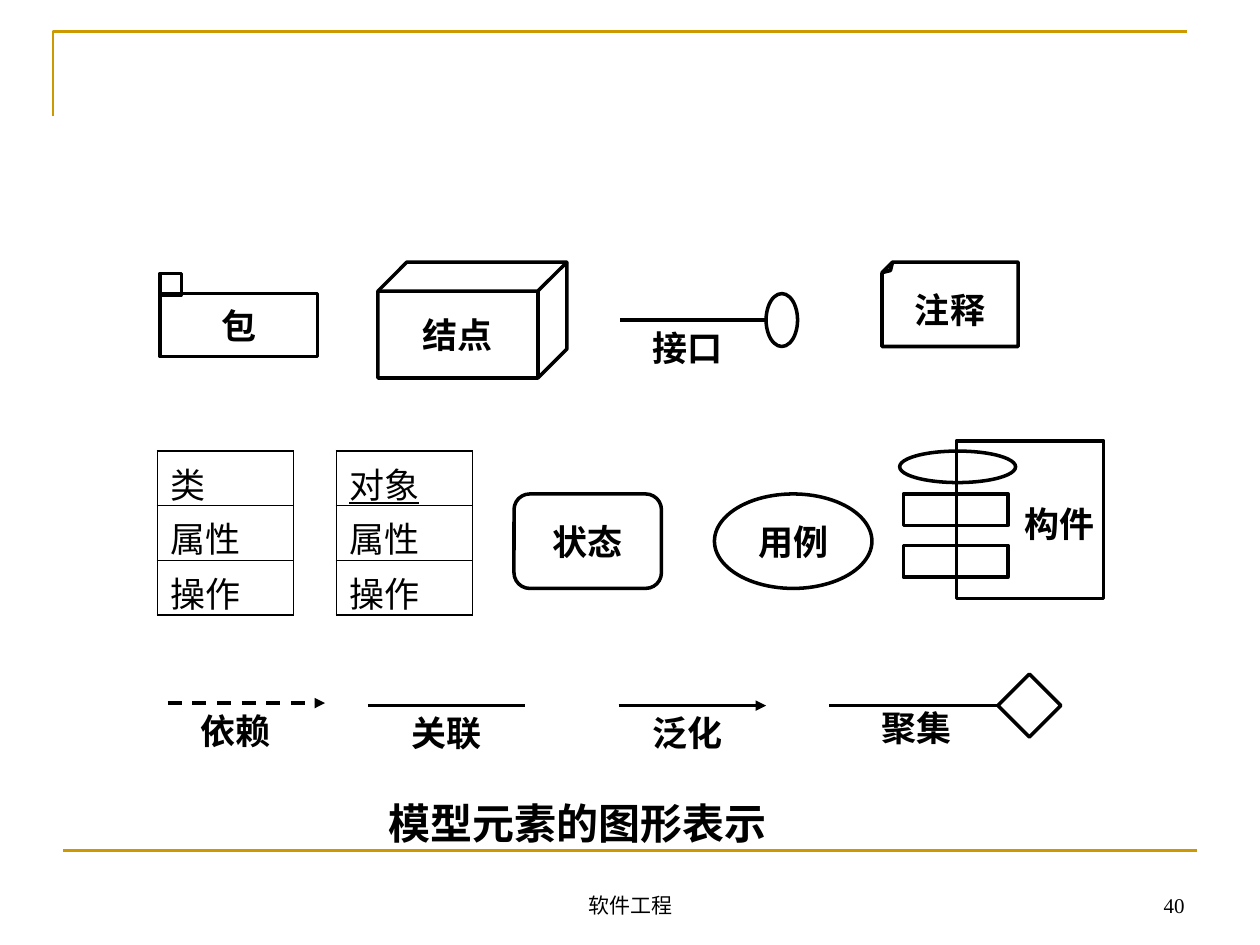
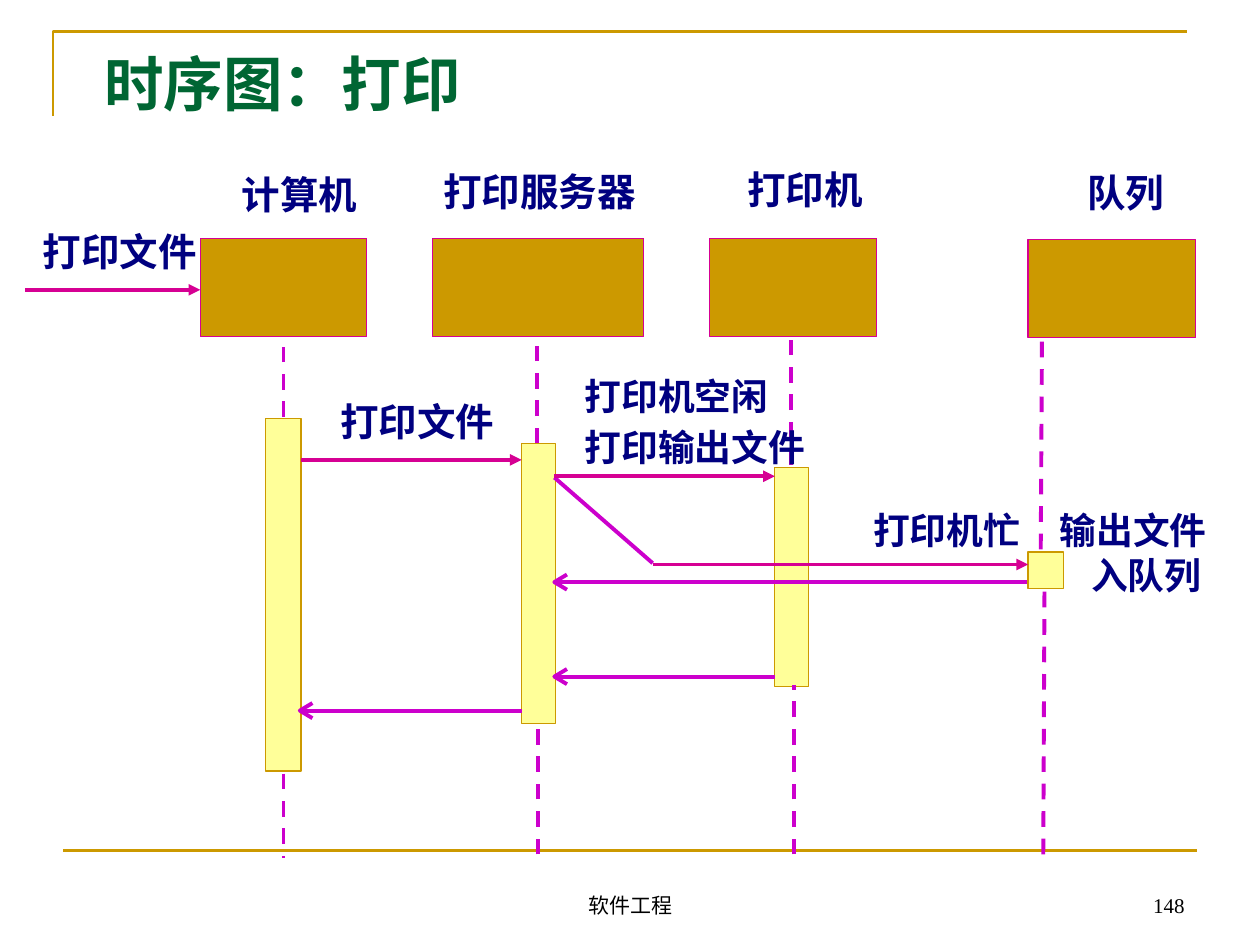
from dataclasses import dataclass

from lxml import etree
from pptx import Presentation
from pptx.dml.color import RGBColor
from pptx.enum.dml import MSO_LINE
from pptx.enum.shapes import MSO_CONNECTOR, MSO_SHAPE
from pptx.enum.text import MSO_ANCHOR, PP_ALIGN
from pptx.oxml.ns import qn
from pptx.util import Inches, Pt

RECT, ELLIPSE, CUBE = MSO_SHAPE.RECTANGLE, MSO_SHAPE.OVAL, MSO_SHAPE.CUBE
DIAMOND, NOTE = MSO_SHAPE.DIAMOND, MSO_SHAPE.FOLDED_CORNER
STATE = MSO_SHAPE.FLOWCHART_ALTERNATE_PROCESS
STRAIGHT, DASH = MSO_CONNECTOR.STRAIGHT, MSO_LINE.DASH
LEFT, CENTER, RIGHT = PP_ALIGN.LEFT, PP_ALIGN.CENTER, PP_ALIGN.RIGHT
TOP, MIDDLE, BOTTOM = MSO_ANCHOR.TOP, MSO_ANCHOR.MIDDLE, MSO_ANCHOR.BOTTOM


@dataclass(frozen=True)
class Theme:
    gold: str = "CC9900"
    black: str = "000000"
    green: str = "006633"
    navy: str = "000080"
    yellow: str = "FFFF99"
    magenta: str = "D60093"
    purple: str = "CC00CC"
    serif: str = "Times New Roman"
    symbol_font: str = "Roboto"
    table_font: str = "Arial"
    label_font: str = "Noto Sans CJK SC"
    title_size: int = 34
    caption_size: int = 24
    head_size: int = 22
    note_size: int = 21
    symbol_size: int = 20
    footer_size: int = 12
    frame_width: float = 1.5
    symbol_width: float = 2
    message_width: float = 2.25
    box_width: float = 0.75


T = Theme()


def put(slide, kind, box, text="", font=T.symbol_font, size=T.symbol_size, color=T.black,
        bold=True, align=CENTER, anchor=MIDDLE, wrap=False, inset=True,
        fill=None, line=T.black, width=T.symbol_width):
    """Place a preset shape, or a plain text box when kind is None."""
    place = [Inches(v) for v in box]
    if kind is None:
        shape = slide.shapes.add_textbox(*place)
    else:
        shape = slide.shapes.add_shape(kind, *place)
        shape.shadow.inherit = False
        shape.line.color.rgb = RGBColor.from_string(line)
        shape.line.width = Pt(width)
        if fill:
            shape.fill.solid()
            shape.fill.fore_color.rgb = RGBColor.from_string(fill)
        else:
            shape.fill.background()
    if text:
        frame = shape.text_frame
        frame.word_wrap = wrap
        frame.vertical_anchor = anchor
        if not inset:
            frame.margin_left = frame.margin_right = frame.margin_top = frame.margin_bottom = 0
        paragraph = frame.paragraphs[0]
        paragraph.alignment = align
        run = paragraph.add_run()
        run.text = text
        run.font.name, run.font.size, run.font.bold = font, Pt(size), bold
        run.font.color.rgb = RGBColor.from_string(color)
    return shape


def draw_line(slide, x1, y1, x2, y2, color=T.black, width=T.symbol_width, dashed=False, arrow=False):
    connector = slide.shapes.add_connector(STRAIGHT, *[Inches(v) for v in (x1, y1, x2, y2)])
    connector.line.color.rgb = RGBColor.from_string(color)
    connector.line.width = Pt(width)
    if dashed:
        connector.line.dash_style = DASH
    if arrow:
        etree.SubElement(connector.line._get_or_add_ln(), qn("a:tailEnd"), type="triangle")
    etree.SubElement(connector._element.spPr, qn("a:effectLst"))


deck = Presentation()
deck.slide_width, deck.slide_height = Inches(10), Inches(7.5)

# Shared frame and footer
slides = []
for number in ("40", "148"):
    slide = deck.slides.add_slide(deck.slide_layouts[6])
    slides.append(slide)
    pen = slide.shapes.build_freeform(Inches(0.42), Inches(0.92))
    pen.add_line_segments([(Inches(0.42), Inches(0.25)), (Inches(9.42), Inches(0.25))], close=False)
    corner = pen.convert_to_shape()
    corner.shadow.inherit = False
    corner.fill.background()
    corner.line.color.rgb = RGBColor.from_string(T.gold)
    corner.line.width = Pt(T.frame_width)
    draw_line(slide, 0.5, 6.75, 9.5, 6.75, T.gold, T.frame_width)
    for box, text, align in (((3.42, 6.83, 3.17, 0.5), "软件工程", CENTER),
                             ((7.17, 6.83, 2.33, 0.5), number, RIGHT)):
        put(slide, None, box, text, T.serif, T.footer_size, bold=False,
            align=align, anchor=BOTTOM, wrap=True)
notation, sequence = slides

# Slide 1: class and object compartments
for left, heading in ((1.25, "类"), (2.67, "对象")):
    table = notation.shapes.add_table(3, 1, Inches(left), Inches(3.58), Inches(1.08), Inches(1.3)).table
    table.first_row = table.horz_banding = False
    for row, text in enumerate((heading, "属性", "操作")):
        table.rows[row].height = Inches(1.3 / 3)
        cell = table.cell(row, 0)
        run = cell.text_frame.paragraphs[0].add_run()
        run.text = text
        run.font.name, run.font.size = T.table_font, Pt(T.symbol_size)
        run.font.color.rgb = RGBColor.from_string(T.black)
        if text == "对象":
            run.font.underline = True
        properties = cell._tc.get_or_add_tcPr()
        edges = {"L": 1.08, "R": 1.08, "T": 0.45 if row else 1.08, "B": 0.45 if row < 2 else 1.08}
        for edge, width in edges.items():
            border = etree.SubElement(properties, qn(f"a:ln{edge}"), w=str(Pt(width)))
            paint = etree.SubElement(border, qn("a:solidFill"))
            etree.SubElement(paint, qn("a:srgbClr"), val=T.black)
        cell.fill.background()

# Slide 1: symbols
for kind, box, text in (
    (STATE, (4.08, 3.92, 1.17, 0.75), "状态"),
    (ELLIPSE, (5.67, 3.92, 1.25, 0.75), "用例"),
    (CUBE, (3, 2.08, 1.5, 0.92), "结点"),
    (ELLIPSE, (6.08, 2.33, 0.25, 0.42), ""),
    (RECT, (1.27, 2.33, 1.25, 0.5), "包"),
    (RECT, (1.27, 2.17, 0.17, 0.17), ""),
    (RECT, (7.59, 3.5, 1.17, 1.25), ""),
    (ELLIPSE, (7.14, 3.58, 0.92, 0.25), ""),
    (RECT, (7.17, 3.92, 0.83, 0.25), ""),
    (RECT, (7.17, 4.33, 0.83, 0.25), ""),
    (DIAMOND, (7.92, 5.35, 0.5, 0.5), ""),
):
    put(notation, kind, box, text)

comment = put(notation, NOTE, (7, 2.08, 1.08, 0.67), "注释")
fold = comment._element.spPr.find(qn("a:prstGeom")).get_or_add_avLst()
etree.SubElement(fold, qn("a:gd"), name="adj", fmla="val 12500")
comment.rotation = 180
comment.text_frame._txBody.bodyPr.set("rot", "10800000")

# Slide 1: relations and labels
for x1, x2, y, dashed, arrow in (
    (4.92, 6.08, 2.54, False, False),
    (1.33, 2.58, 5.58, True, True),
    (2.92, 4.17, 5.6, False, False),
    (4.91, 6.08, 5.6, False, True),
    (6.58, 7.92, 5.6, False, False),
):
    draw_line(notation, x1, y, x2, y, dashed=dashed, arrow=arrow)

for left, top, width, text, align in (
    (5.08, 2.54, 0.83, "接口", LEFT),
    (1.33, 5.58, 1.08, "依赖", CENTER),
    (3.17, 5.6, 1.17, "关联", LEFT),
    (5.08, 5.6, 1.08, "泛化", LEFT),
    (6.9, 5.56, 1.33, "聚集", LEFT),
    (8.03, 3.94, 1.17, "构件", LEFT),
):
    put(notation, None, (left, top, width, 0.44), text, align=align, anchor=TOP, wrap=True)
put(notation, None, (2, 6.28, 5.17, 0.5), "模型元素的图形表示", size=T.caption_size, anchor=TOP, wrap=True)

# Slide 2: title, participants and activation bars
put(sequence, None, (0.73, 0.32, 7.04, 0.59), "时序图：打印", T.serif, T.title_size, T.green,
    align=LEFT, anchor=TOP, wrap=True)
for left, top, width in ((5.63, 1.89, 1.33), (3.43, 1.89, 1.68), (1.59, 1.89, 1.32), (8.16, 1.9, 1.33)):
    put(sequence, RECT, (left, top, width, 0.78), fill=T.gold, line=T.magenta, width=T.box_width)
for box in ((2.11, 3.32, 0.28, 2.8), (4.14, 3.52, 0.27, 2.22),
            (6.15, 3.71, 0.27, 1.74), (8.16, 4.38, 0.28, 0.29)):
    put(sequence, RECT, box, fill=T.yellow, line=T.gold, width=T.box_width)

# Slide 2: lifelines
for x1, y1, x2, y2 in (
    (4.26, 3.52, 4.26, 2.66), (6.28, 3.69, 6.28, 2.66), (8.26, 4.36, 8.27, 2.68),
    (8.28, 6.78, 8.29, 4.64), (2.25, 6.14, 2.25, 6.81), (4.27, 6.78, 4.27, 5.73),
    (6.3, 6.78, 6.3, 5.44), (2.25, 3.31, 2.25, 2.68),
):
    draw_line(sequence, x1, y1, x2, y2, T.purple, T.message_width, dashed=True)

# Slide 2: replies with open heads
for start, end, y in ((8.15, 4.4, 4.62), (6.15, 4.4, 5.37), (4.14, 2.38, 5.64)):
    draw_line(sequence, start, y, end, y, T.purple, T.message_width)
    pen = sequence.shapes.build_freeform(Inches(end + 0.1), Inches(y - 0.06))
    pen.add_line_segments([(Inches(end), Inches(y)), (Inches(end + 0.1), Inches(y + 0.06))], close=False)
    head = pen.convert_to_shape()
    head.shadow.inherit = False
    head.fill.background()
    head.line.color.rgb = RGBColor.from_string(T.purple)
    head.line.width = Pt(T.message_width)

# Slide 2: labels
for left, top, width, text, size in (
    (3.52, 1.33, 1.53, "打印服务器", T.head_size),
    (5.93, 1.32, 0.92, "打印机", T.head_size),
    (8.63, 1.34, 0.61, "队列", T.head_size),
    (1.92, 1.36, 0.92, "计算机", T.head_size),
    (0.34, 1.81, 1.22, "打印文件", T.head_size),
    (2.7, 3.16, 1.22, "打印文件", T.head_size),
    (4.64, 2.97, 1.46, "打印机空闲", T.note_size),
    (6.93, 4.03, 1.17, "打印机忙", T.note_size),
    (4.64, 3.37, 1.75, "打印输出文件", T.note_size),
    (8.41, 4.03, 1.17, "输出文件", T.note_size),
    (8.66, 4.39, 0.88, "入队列", T.note_size),
):
    put(sequence, None, (left, top, width, 0.36), text, T.label_font, size, T.navy,
        align=LEFT, anchor=TOP, inset=False)

# Slide 2: messages
draw_line(sequence, 4.4, 3.79, 5.18, 4.47, T.purple, T.message_width)
for start, end, y in ((0.2, 1.59, 2.3), (2.39, 4.14, 3.65), (4.4, 6.15, 3.78), (5.18, 8.16, 4.48)):
    draw_line(sequence, start, y, end, y, T.magenta, T.message_width, arrow=True)

deck.save("out.pptx")
